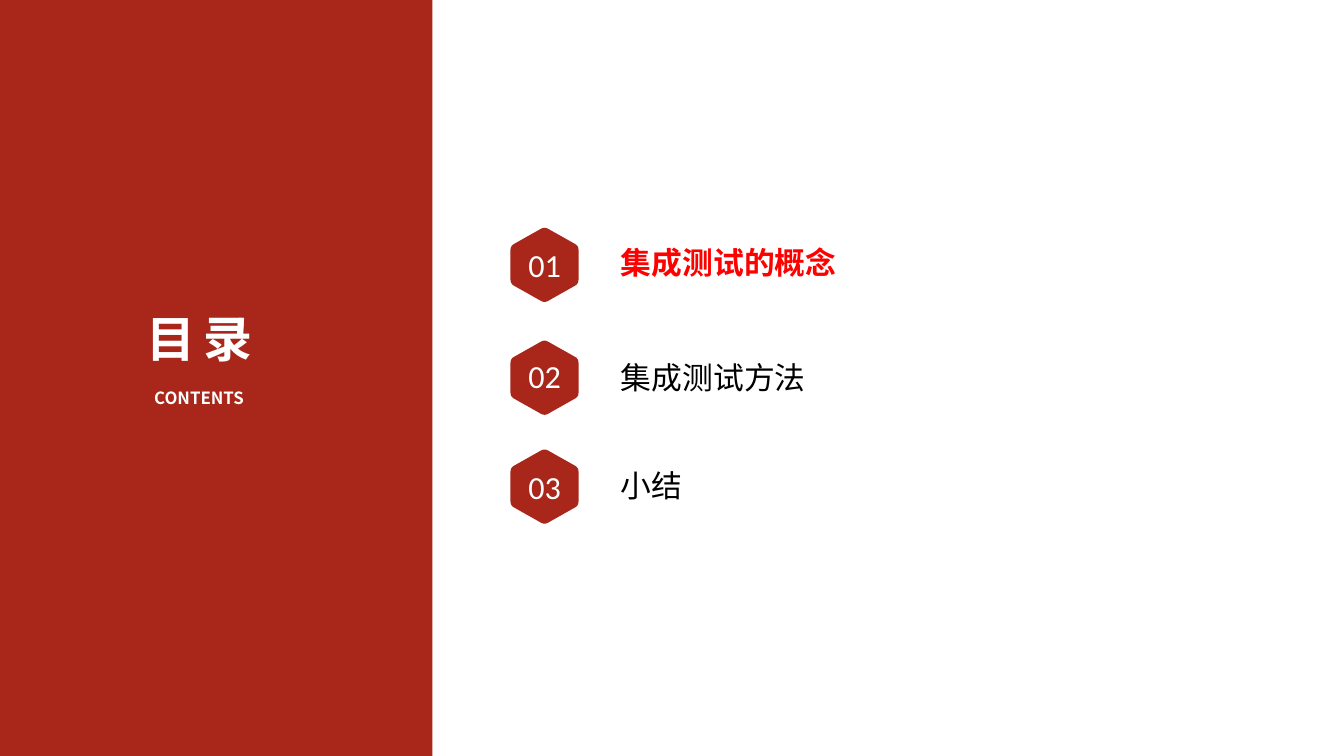
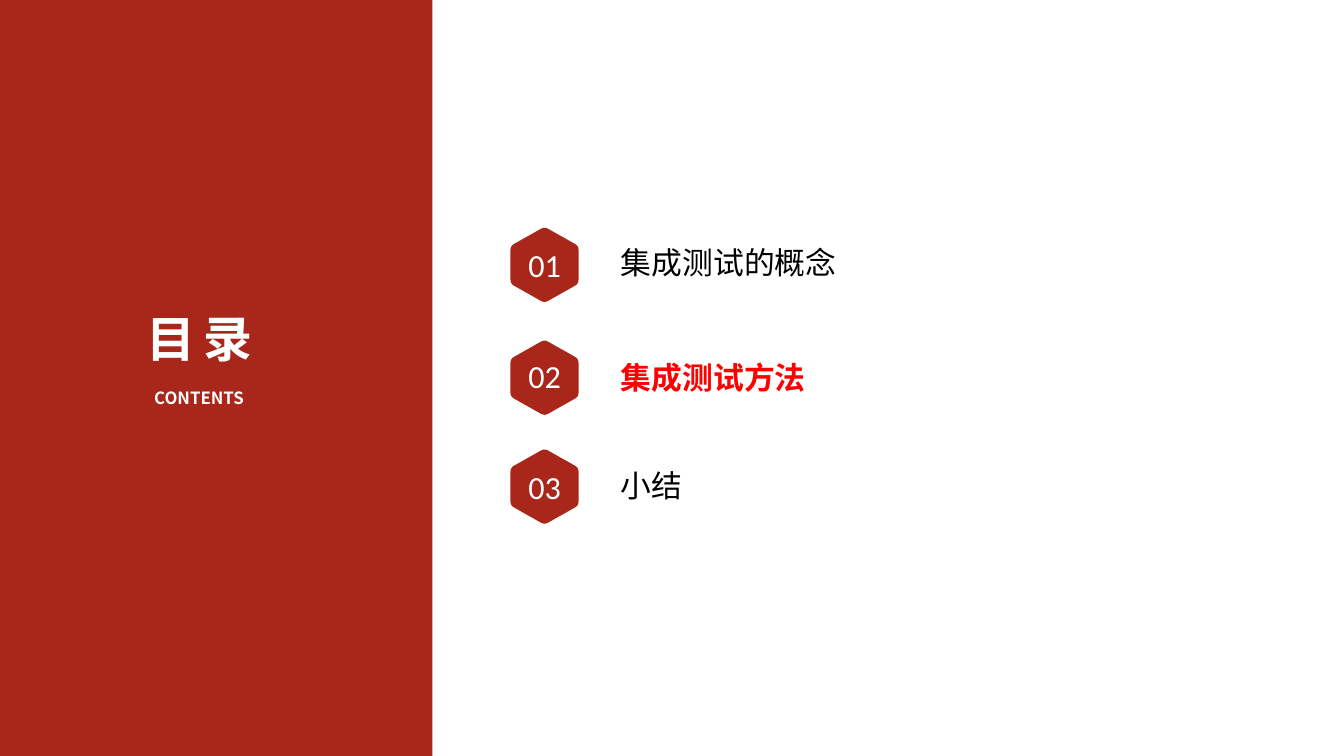
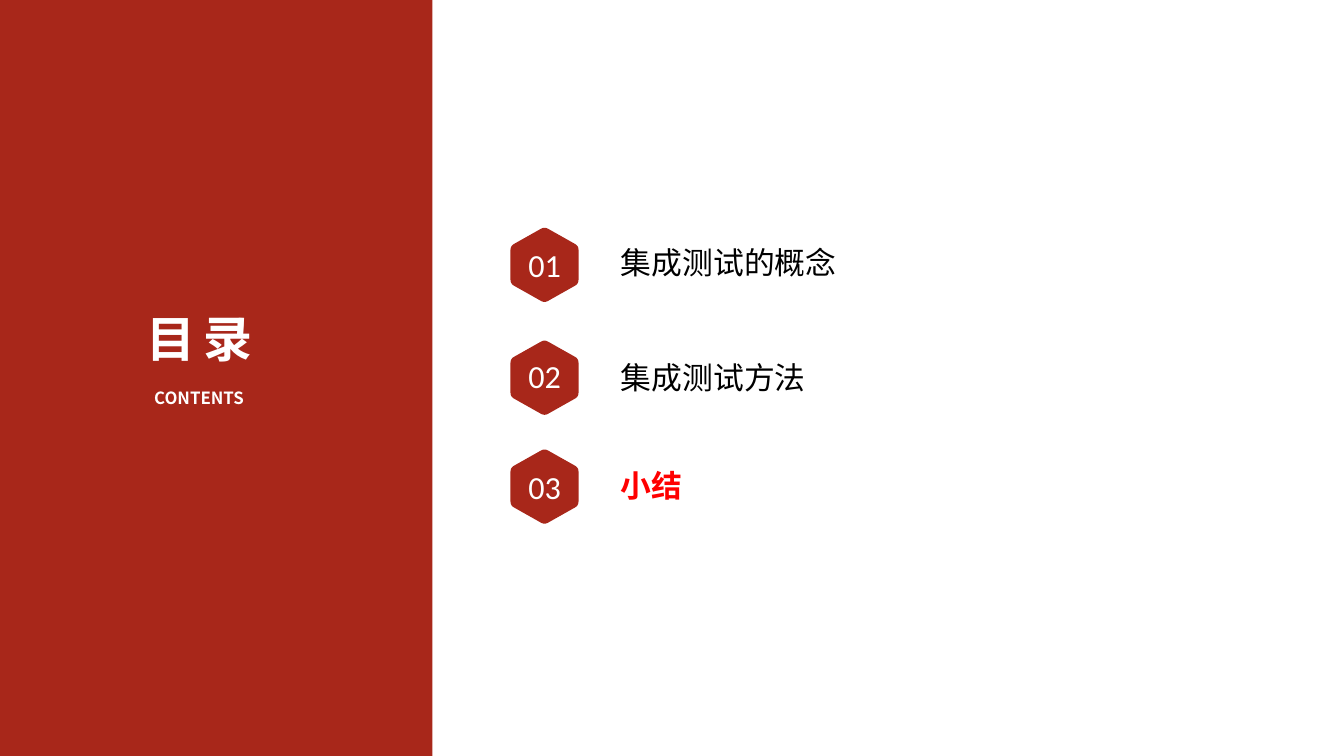
from collections import namedtuple
from lxml.etree import SubElement
from pptx import Presentation
from pptx.dml.color import RGBColor
from pptx.enum.shapes import MSO_SHAPE
from pptx.enum.text import MSO_ANCHOR, PP_ALIGN
from pptx.oxml.ns import qn
from pptx.util import Inches, Pt
from math import hypot

BRICK = RGBColor(0xA8, 0x27, 0x1A)
HIGHLIGHT = RGBColor(0xFF, 0x00, 0x00)
WHITE = RGBColor(0xFF, 0xFF, 0xFF)
BLACK = RGBColor(0x00, 0x00, 0x00)

CJK_FONT = "Noto Sans CJK SC"
NUMBER_FONT = "Calibri"

SLIDE_WIDTH, SLIDE_HEIGHT = 26.67, 15
PANEL_WIDTH = 8.58
ROWS_LEFT = 9.94

HEX_LENGTH, HEX_HEIGHT = 1.47, 1.35
TIP_OVERHANG, SHOULDER, ROUNDING = 0.02, 0.36, 0.08
CURVE_STEPS = 6

Chapter = namedtuple(
    "Chapter", "label top number_offset label_offset label_width label_height")
CHAPTERS = [
    Chapter("集成测试的概念", 4.58, 0.15, 0.21, 5.01, 0.93),
    Chapter("集成测试方法", 6.82, 0.11, 0.24, 6.11, 0.78),
    Chapter("小结", 8.98, 0.15, 0.24, 6.11, 0.78),
]


def add_text(shapes, text, left, top, width, height, size, color,
             font=CJK_FONT, bold=False, align=PP_ALIGN.LEFT,
             anchor=MSO_ANCHOR.TOP, spacing=0):
    box = shapes.add_textbox(
        Inches(left), Inches(top), Inches(width), Inches(height))
    frame = box.text_frame
    frame.word_wrap = True
    frame.vertical_anchor = anchor
    frame.margin_left = frame.margin_right = Inches(0.05)
    frame.margin_top = frame.margin_bottom = Inches(0.05)
    frame.text = text
    paragraph = frame.paragraphs[0]
    paragraph.alignment = align
    run = paragraph.runs[0]
    run.font.size = Pt(size)
    run.font.bold = bold
    run.font.color.rgb = color
    run.font.name = font
    properties = run._r.get_or_add_rPr()
    SubElement(properties, qn("a:ea")).set("typeface", font)
    if spacing:
        properties.set("spc", str(round(spacing * 100)))


def paint(shape, color):
    shape.shadow.inherit = False
    shape.fill.solid()
    shape.fill.fore_color.rgb = color
    shape.line.fill.background()


def toward(start, end):
    share = ROUNDING / hypot(end[0] - start[0], end[1] - start[1])
    return [a + (b - a) * share for a, b in zip(start, end)]


def rounded_outline(corners):
    points = []
    for index, corner in enumerate(corners):
        entry = toward(corner, corners[index - 1])
        leave = toward(corner, corners[(index + 1) % len(corners)])
        for step in range(CURVE_STEPS + 1):
            t = step / CURVE_STEPS
            points.append([(1 - t) ** 2 * a + 2 * t * (1 - t) * b + t ** 2 * c
                           for a, b, c in zip(entry, corner, leave)])
    return points


def add_hexagon(shapes, left, top):
    far_shoulder = HEX_LENGTH - SHOULDER
    corners = [
        (-TIP_OVERHANG, HEX_HEIGHT / 2), (SHOULDER, 0), (far_shoulder, 0),
        (HEX_LENGTH + TIP_OVERHANG, HEX_HEIGHT / 2),
        (far_shoulder, HEX_HEIGHT), (SHOULDER, HEX_HEIGHT),
    ]
    outline = [(Inches(left + x), Inches(top + y))
               for x, y in rounded_outline(corners)]
    builder = shapes.build_freeform(*outline[0])
    builder.add_line_segments(outline[1:], close=True)
    hexagon = builder.convert_to_shape()
    hexagon.rotation = 90
    paint(hexagon, BRICK)


def add_contents_panel(slide, left, top, width, height):
    panel = slide.shapes.add_shape(
        MSO_SHAPE.RECTANGLE,
        Inches(left), Inches(top), Inches(width), Inches(height))
    paint(panel, BRICK)
    heading = slide.shapes.add_group_shape().shapes
    add_text(heading, "CONTENTS", left + 1.87, top + 7.64, 4.16, 0.99,
             24, WHITE, bold=True, align=PP_ALIGN.CENTER)
    add_text(heading, "目录", left + 1.12, top + 6.08, 5.68, 2.85,
             70, WHITE, bold=True, align=PP_ALIGN.CENTER, spacing=11.7)


def add_chapter_row(slide, left, number, chapter, active):
    row = slide.shapes.add_group_shape().shapes
    add_text(row, chapter.label, left + 2.33,
             chapter.top + chapter.label_offset,
             chapter.label_width, chapter.label_height,
             44, HIGHLIGHT if active else BLACK, bold=active)
    add_hexagon(row, left + 0.13, chapter.top)
    add_text(row, f"{number:02}", left, chapter.top + chapter.number_offset,
             1.74, 1.05, 46, WHITE, font=NUMBER_FONT,
             align=PP_ALIGN.CENTER, anchor=MSO_ANCHOR.MIDDLE)


def add_contents_slide(deck, active_number):
    slide = deck.slides.add_slide(deck.slide_layouts[6])
    add_contents_panel(slide, 0, 0, PANEL_WIDTH, SLIDE_HEIGHT)
    for number, chapter in enumerate(CHAPTERS, 1):
        add_chapter_row(slide, ROWS_LEFT, number, chapter,
                        number == active_number)


def main():
    deck = Presentation()
    deck.slide_width = Inches(SLIDE_WIDTH)
    deck.slide_height = Inches(SLIDE_HEIGHT)
    for active_number in range(1, len(CHAPTERS) + 1):
        add_contents_slide(deck, active_number)
    deck.save("out.pptx")


if __name__ == "__main__":
    main()
